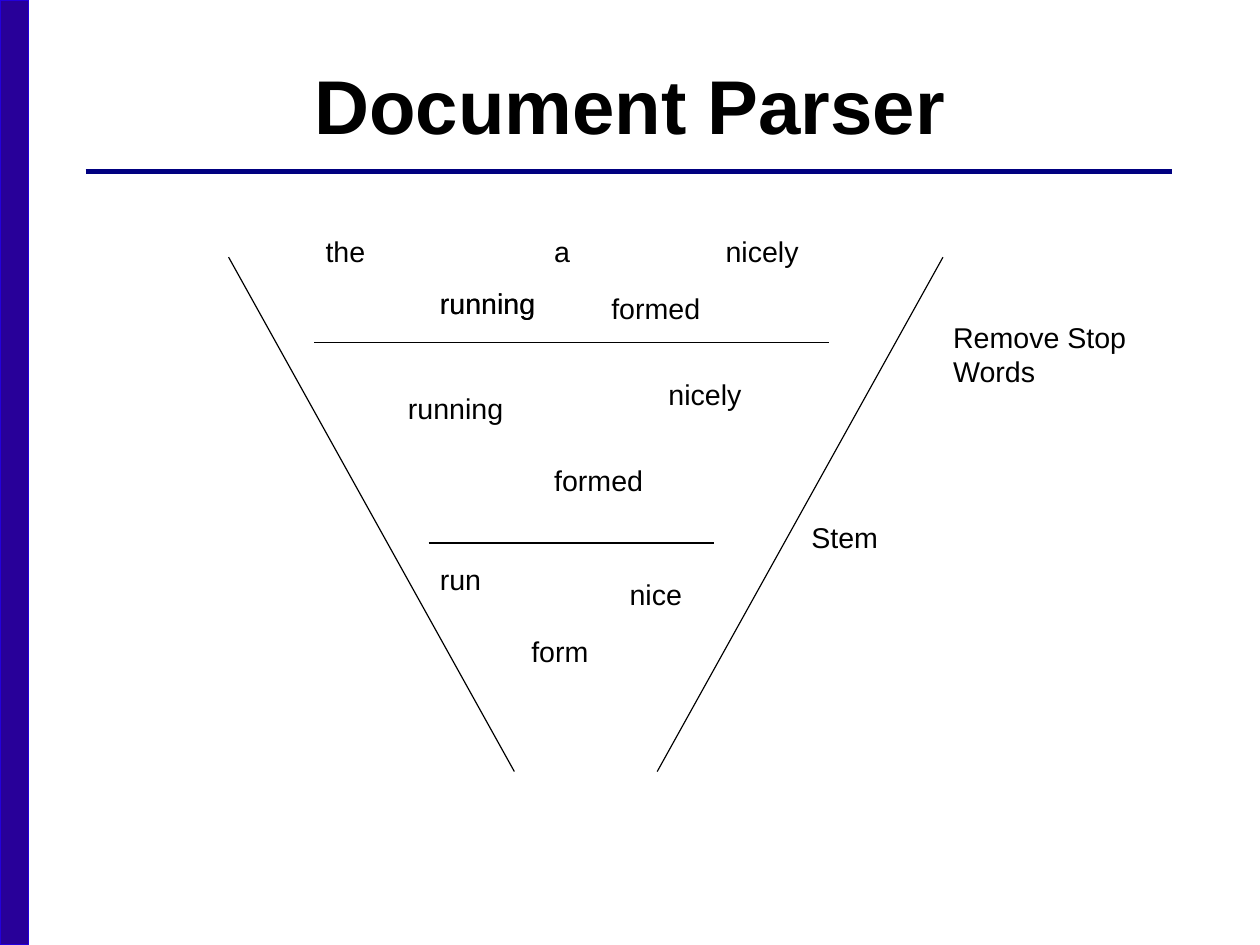
from pptx import Presentation
from pptx.dml.color import RGBColor
from pptx.enum.shapes import MSO_CONNECTOR, MSO_SHAPE
from pptx.enum.text import MSO_ANCHOR, PP_ALIGN
from pptx.oxml.ns import qn
from pptx.util import Inches, Pt
from lxml.etree import SubElement

BLACK = RGBColor(0x00, 0x00, 0x00)
NAVY = RGBColor(0x00, 0x00, 0x80)
VIOLET = RGBColor(0x28, 0x00, 0x99)
BLUE = RGBColor(0x23, 0x00, 0xDC)

# 28 by 21 centimetres
WIDTH, HEIGHT = 28 / 2.54, 21 / 2.54
LINE_HEIGHT = 0.28

# Top and bottom x of each funnel side
FUNNEL_TOP, FUNNEL_BOTTOM = 2.25, 6.75
SIDES = [(2, 4.5), (8.25, 5.75)]

# Half-width and height of each level line
LEVEL_CENTER = 5
LEVELS = [(2.25, 3), (1.25, 4.75)]

# Text, left, top, width
WORDS = [
    # All words of the document
    ("the", 2.75, 2, 0.55),
    ("running", 3.75, 2.45, 1.05),
    ("a", 4.75, 2, 0.34),
    ("formed", 5.25, 2.5, 0.98),
    ("nicely", 6.25, 2, 0.84),
    ("running", 3.75, 2.45, 1.05),
    # Without stop words
    ("running", 3.47, 3.37, 1.05),
    ("formed", 4.75, 4, 0.98),
    ("nicely", 5.75, 3.25, 0.84),
    # Stems
    ("run", 3.75, 4.87, 0.56),
    ("form", 4.55, 5.5, 0.7),
    ("nice", 5.41, 5, 0.66),
]
STEPS = [
    ("Remove Stop\nWords", 8.24, 2.75, 1.78),
    ("Stem", 7, 4.5, 0.85),
]


def set_format(target, formats):
    for attribute, value in formats.items():
        setattr(target, attribute, value)


def style_text(frame, size, bold=False, align=PP_ALIGN.LEFT):
    for paragraph in frame.paragraphs:
        paragraph.alignment = align
        for run in paragraph.runs:
            set_format(run.font, {"name": "Arial", "size": Pt(size), "bold": bold})
            run.font.color.rgb = BLACK


def add_title(slide, text):
    title = slide.shapes.title
    set_format(title, {"left": Inches(0.55), "top": Inches(0.22),
                       "width": Inches(9.92), "height": Inches(1.38)})
    frame = title.text_frame
    frame.text = text
    set_format(frame, {"margin_left": 0, "margin_right": 0, "margin_top": 0,
                       "margin_bottom": 0, "word_wrap": False,
                       "vertical_anchor": MSO_ANCHOR.MIDDLE})
    style_text(frame, 48, bold=True, align=PP_ALIGN.CENTER)


def add_side_bar(slide):
    bar = slide.shapes.add_shape(MSO_SHAPE.RECTANGLE, 0, 0,
                                 Inches(0.25), Inches(HEIGHT))
    bar.shadow.inherit = False
    bar.fill.solid()
    bar.fill.fore_color.rgb = VIOLET
    bar.line.color.rgb = BLUE
    bar.line.width = Pt(0.75)


def add_line(slide, start, end, color=BLACK, weight=0.75):
    points = [Inches(value) for value in (*start, *end)]
    line = slide.shapes.add_connector(MSO_CONNECTOR.STRAIGHT, *points)
    line.line.color.rgb = color
    line.line.width = Pt(weight)
    SubElement(line._element.spPr, qn("a:effectLst"))


def add_label(slide, text, left, top, width):
    height = 0.1 + LINE_HEIGHT * len(text.split("\n"))
    label = slide.shapes.add_textbox(Inches(left), Inches(top),
                                     Inches(width), Inches(height))
    label.text_frame.text = text
    label.text_frame.word_wrap = False
    style_text(label.text_frame, 18)


def main():
    presentation = Presentation()
    presentation.slide_width = Inches(WIDTH)
    presentation.slide_height = Inches(HEIGHT)
    slide = presentation.slides.add_slide(presentation.slide_layouts[5])

    # Frame and title
    add_line(slide, (0.75, 1.5), (10.25, 1.5), NAVY, 2.89)
    add_side_bar(slide)
    add_title(slide, "Document Parser")

    # Funnel sides and levels
    for top_x, bottom_x in SIDES:
        add_line(slide, (top_x, FUNNEL_TOP), (bottom_x, FUNNEL_BOTTOM))
    for half, level in LEVELS:
        add_line(slide, (LEVEL_CENTER - half, level),
                 (LEVEL_CENTER + half, level))

    # Words in the funnel and steps beside it
    for label in WORDS + STEPS:
        add_label(slide, *label)

    presentation.save("out.pptx")


main()
